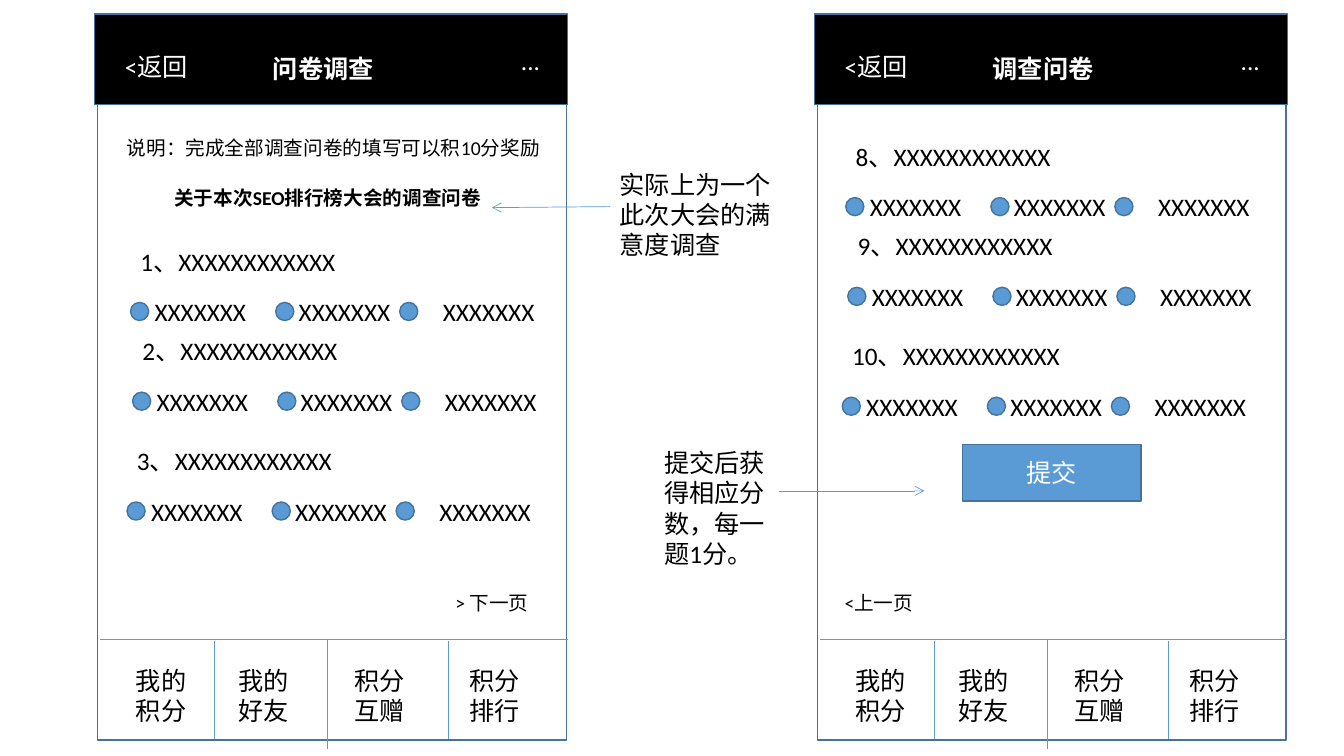
from lxml.etree import SubElement
from pptx import Presentation
from pptx.dml.color import RGBColor
from pptx.enum.shapes import MSO_CONNECTOR, MSO_SHAPE
from pptx.enum.text import MSO_ANCHOR, MSO_AUTO_SIZE, PP_ALIGN
from pptx.oxml.ns import qn
from pptx.util import Inches, Pt

# The slide is a grid of square cells, ten to the inch.
COLUMNS, ROWS = 133.33, 75
BLACK, WHITE, BLUE, OUTLINE = "000000", "FFFFFF", "5B9BD5", "43739E"
TABS = {"我的积分": 3.1, "我的好友": 13.3, "积分互赠": 24.8, "积分排行": 36.2}
TAB_DIVIDERS = [(11.9, 62.2, 71.9), (23.1, 62.1, 72.9), (35.1, 62.2, 71.9)]
DOT_COLUMNS = (0, 14.4, 26.7)
ANSWER_COLUMNS = (1.4, 15.7, 30)


def cells(count):
    return Inches(count / 10)


def paint(color_format, color):
    color_format.rgb = RGBColor.from_string(color)


def write(frame, words, size=18, color=BLACK, bold=False):
    run = frame.paragraphs[0].add_run()
    run.text = words
    for name, value in {"name": "Calibri", "size": Pt(size), "bold": bold}.items():
        setattr(run.font, name, value)
    paint(run.font.color, color)


def add_label(shapes, box, words, wrap=True, **style):
    frame = shapes.add_textbox(*map(cells, box)).text_frame
    for name, value in {"word_wrap": wrap,
                        "auto_size": MSO_AUTO_SIZE.SHAPE_TO_FIT_TEXT}.items():
        setattr(frame, name, value)
    write(frame, words, **style)


def add_block(shapes, box, fill, kind=MSO_SHAPE.RECTANGLE):
    block = shapes.add_shape(kind, *map(cells, box))
    block.shadow.inherit = False
    block.fill.solid()
    paint(block.fill.fore_color, fill)
    paint(block.line.color, OUTLINE)
    block.line.width = Pt(1)
    return block


def add_rule(shapes, start, end, arrow=False):
    rule = shapes.add_connector(MSO_CONNECTOR.STRAIGHT, *map(cells, start + end))
    paint(rule.line.color, BLUE)
    rule.line.width = Pt(0.5)
    if arrow:
        SubElement(rule.line._get_or_add_ln(), qn("a:tailEnd"), type="arrow")
    SubElement(rule._element.spPr, qn("a:effectLst"))


def add_header(shapes, box, title):
    left, top, _, _ = box
    add_block(shapes, box, BLACK)
    add_label(shapes, (left + 16.7, top + 3.4, 23.8, 4), title, color=WHITE, bold=True)
    add_label(shapes, (left + 2, top + 3.2, 12.2, 4), "<返回", color=WHITE)
    add_label(shapes, (left + 41.3, top + 2.6, 7.8, 4), "...", color=WHITE)


def add_tab_bar(shapes, left, top, width):
    add_rule(shapes, (left + 0.5, top + 62), (left + width, top + 62))
    for column, start, end in TAB_DIVIDERS:
        add_rule(shapes, (left + column, top + start), (left + column, top + end))
    for name, column in TABS.items():
        add_label(shapes, (left + column, top + 64.1, 9, 7), name)


def add_question(shapes, left, top, number):
    group = shapes.add_group_shape().shapes
    add_label(group, (left, top, 30.8, 4), f"{number}、XXXXXXXXXXXX")
    for column in DOT_COLUMNS:
        add_block(group, (left + column, top + 6.1, 1.8, 1.8), BLUE, MSO_SHAPE.OVAL)
    for column in ANSWER_COLUMNS:
        add_label(group, (left + column, top + 5, 11.2, 4), "XXXXXXX", wrap=False)


def add_phone(shapes, box, title, questions):
    """Draw a screen; questions maps a number to its offset within the box."""
    left, top, width, height = box
    add_block(shapes, (left + 0.3, top, width - 0.4, height), WHITE)
    add_header(shapes, (left, top, width, 9), title)
    add_tab_bar(shapes, left, top, width)
    for number, (column, row) in questions.items():
        add_question(shapes, left + column, top + row, number)


def add_first_page(shapes, box):
    left, top, _, _ = box
    add_phone(shapes, box, "问卷调查",
              {1: (3.55, 22.5), 2: (3.75, 31.4), 3: (3.2, 42.3)})
    add_label(shapes, (left + 2.2, top + 11.6, 43.1, 3.4),
              "说明：完成全部调查问卷的填写可以积10分奖励", size=14)
    add_label(shapes, (left + 6.9, top + 16.6, 34.4, 3.4),
              "关于本次SEO排行榜大会的调查问卷", size=14, bold=True)
    add_label(shapes, (left + 34.8, top + 56.7, 10.4, 3.4), "> 下一页", size=14)


def add_last_page(shapes, box):
    left, top, _, _ = box
    add_phone(shapes, box, "调查问卷",
              {8: (3.1, 12.1), 9: (3.3, 21), 10: (2.75, 31.9)})
    add_label(shapes, (left + 2, top + 56.7, 10.4, 3.4), "<上一页", size=14)
    submit = add_block(shapes, (left + 14.7, top + 42.7, 17.7, 5.6), BLUE).text_frame
    submit.vertical_anchor = MSO_ANCHOR.MIDDLE
    submit.paragraphs[0].alignment = PP_ALIGN.CENTER
    write(submit, "提交", color=WHITE)


def add_note(shapes, box, words, start, end):
    add_label(shapes, box, words)
    add_rule(shapes, start, end, arrow=True)


def main():
    deck = Presentation()
    deck.slide_width, deck.slide_height = cells(COLUMNS), cells(ROWS)
    shapes = deck.slides.add_slide(deck.slide_layouts[6]).shapes
    add_first_page(shapes, (9.4, 1.4, 46.9, 72))
    add_last_page(shapes, (80.8, 1.4, 46.9, 72))
    add_note(shapes, (60.5, 16.3, 18.6, 10), "实际上为一个此次大会的满意度调查",
             (60.5, 20.5), (48.8, 20.6))
    add_note(shapes, (64.9, 43.9, 14.3, 13), "提交后获得相应分数，每一题1分。",
             (77.3, 48.7), (91.7, 48.7))
    deck.save("out.pptx")


if __name__ == "__main__":
    main()
